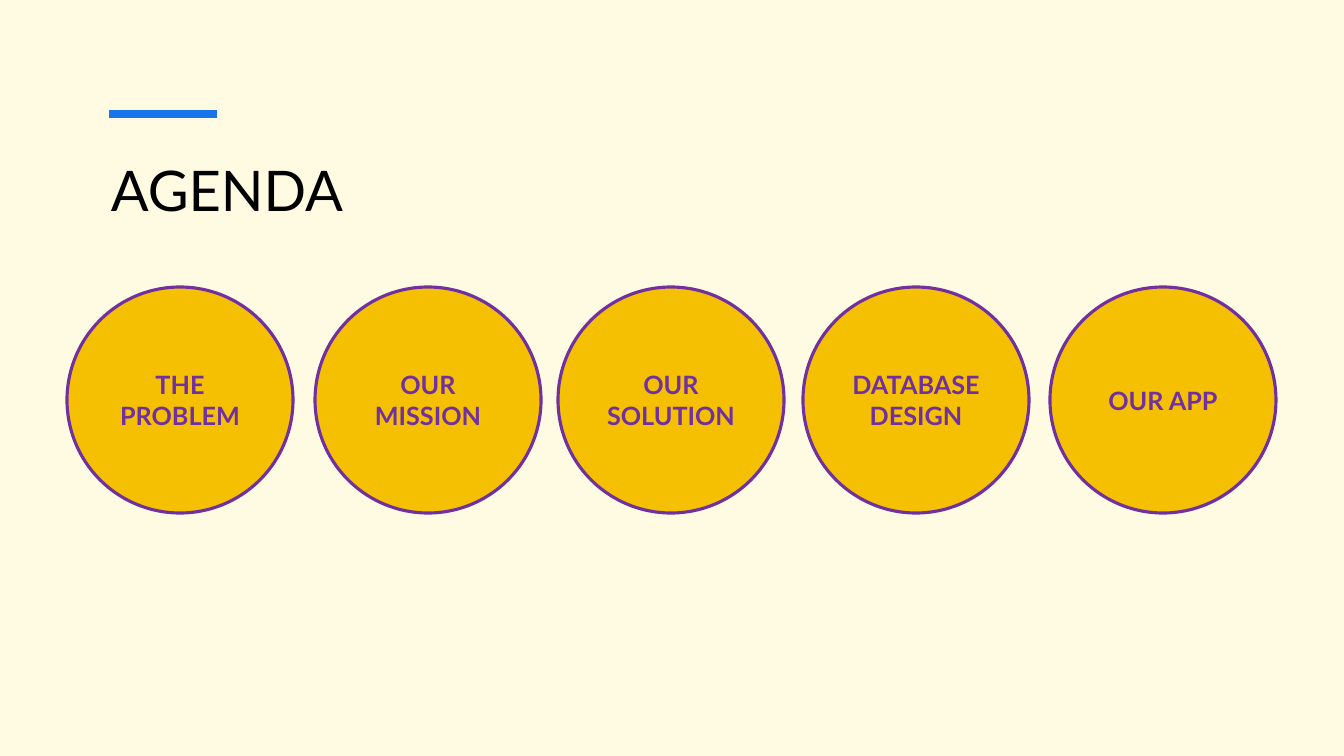
"""Build the agenda slide: an accent bar, a title and a row of five topic circles."""
import pptx
import pptx.dml.color
import pptx.enum.shapes
import pptx.enum.text
import pptx.oxml.ns
import pptx.util
from lxml import etree

COLORS = {"paper": "FFFBE2", "accent": "1973EB", "ink": "000000",
          "gold": "F5C002", "purple": "7030A0"}
TOPICS = [(67, "THE PROBLEM"), (315, "OUR MISSION"), (558, "OUR SOLUTION"),
          (803, "DATABASE DESIGN"), (1050, "OUR APP")]
CIRCLE_TOP, DIAMETER = 287, 226


def px(n):
    """Turn whole pixels into EMU."""
    return pptx.util.Emu(round(n * 914400 / 100.8))


def rgb(name):
    """Look up a named colour."""
    return pptx.dml.color.RGBColor.from_string(COLORS[name])


class Deck:
    """Hold the style and the current slide."""

    font = "Lato"

    def __init__(self, width, height):
        """Open a presentation with one blank slide."""
        self.prs = pptx.Presentation()
        self.prs.slide_width, self.prs.slide_height = px(width), px(height)
        self.s = self.prs.slides.add_slide(self.prs.slide_layouts[6])
        fill = self.s.background.fill
        fill.solid()
        fill.fore_color.rgb = rgb("paper")

    def label(self, tf, text, size, color, bold=False):
        """Put one styled paragraph in a text frame and return it."""
        tf.word_wrap = True
        p = tf.paragraphs[0]
        p.text = text
        p.font.name, p.font.size, p.font.bold = self.font, pptx.util.Pt(size), bold
        p.font.color.rgb = rgb(color)
        return p

    def rule(self, x1, x2, y, color, weight):
        """Draw a horizontal line."""
        c = self.s.shapes.add_connector(
            pptx.enum.shapes.MSO_CONNECTOR.STRAIGHT, px(x1), px(y), px(x2), px(y))
        c.line.color.rgb = rgb(color)
        c.line.width = pptx.util.Pt(weight)
        etree.SubElement(c._element.spPr, pptx.oxml.ns.qn("a:effectLst"))

    def title(self, x, y, w, h, text):
        """Add the slide heading."""
        sp = self.s.shapes.add_textbox(px(x), px(y), px(w), px(h))
        self.label(sp.text_frame, text, 40, "ink")

    def circle(self, x, y, diameter, text):
        """Add an outlined circle with a centred label."""
        sp = self.s.shapes.add_shape(pptx.enum.shapes.MSO_SHAPE.OVAL,
                                     px(x), px(y), px(diameter), px(diameter))
        sp.shadow.inherit = False
        sp.fill.solid()
        sp.fill.fore_color.rgb = rgb("gold")
        sp.line.color.rgb = rgb("purple")
        sp.line.width = pptx.util.Pt(2.25)
        tf = sp.text_frame
        tf.vertical_anchor = pptx.enum.text.MSO_ANCHOR.MIDDLE
        p = self.label(tf, text, 18, "purple", bold=True)
        p.alignment = pptx.enum.text.PP_ALIGN.CENTER


def main():
    """Compose and save the slide."""
    deck = Deck(1344, 756)
    deck.rule(109, 217, 114, "accent", 6)
    deck.title(101, 151, 1142, 145, "AGENDA")
    for x, topic in TOPICS:
        deck.circle(x, CIRCLE_TOP, DIAMETER, topic)
    deck.prs.save("out.pptx")


if __name__ == "__main__":
    main()
